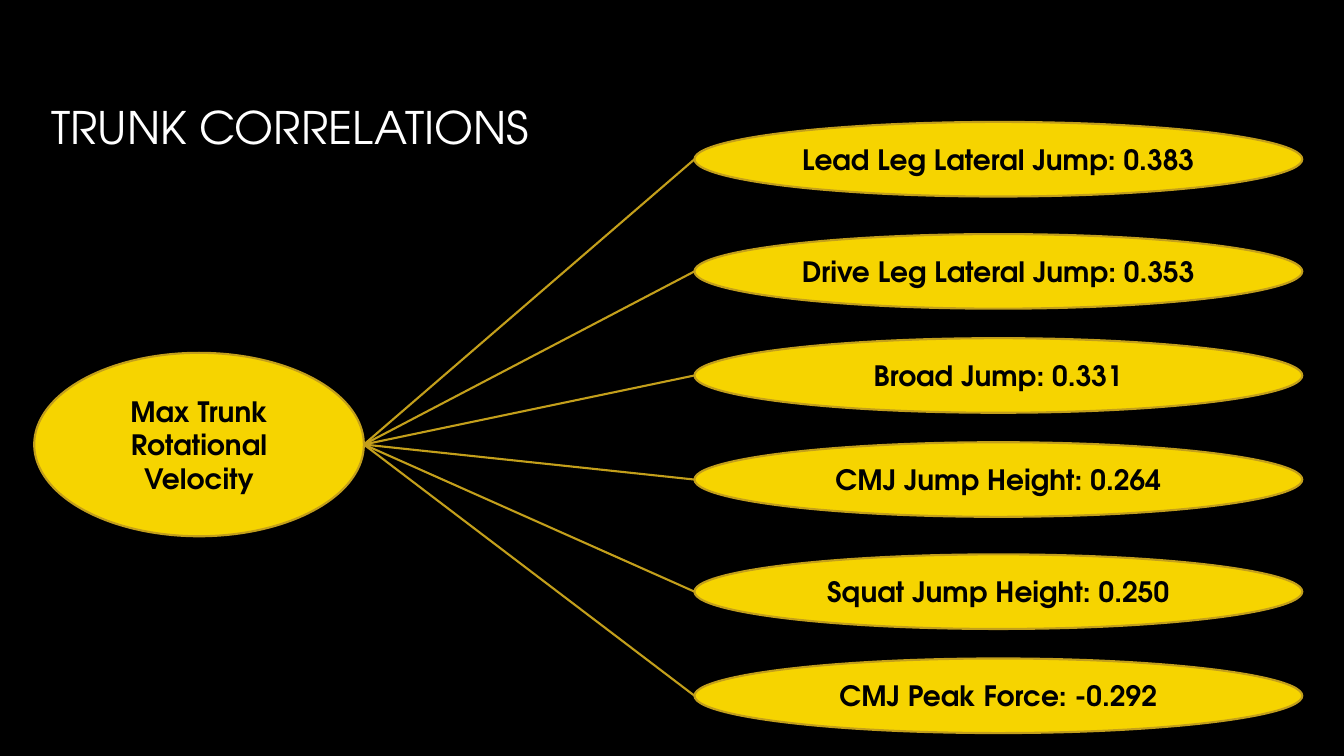
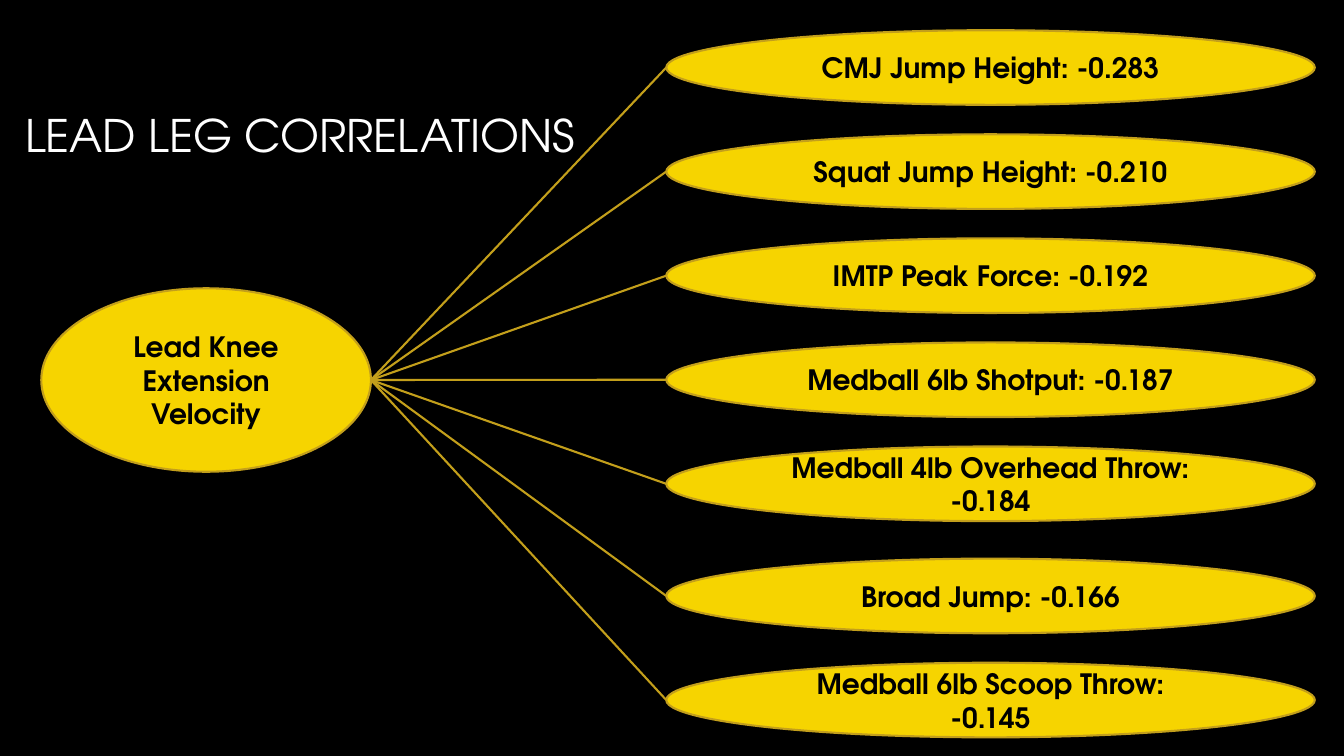
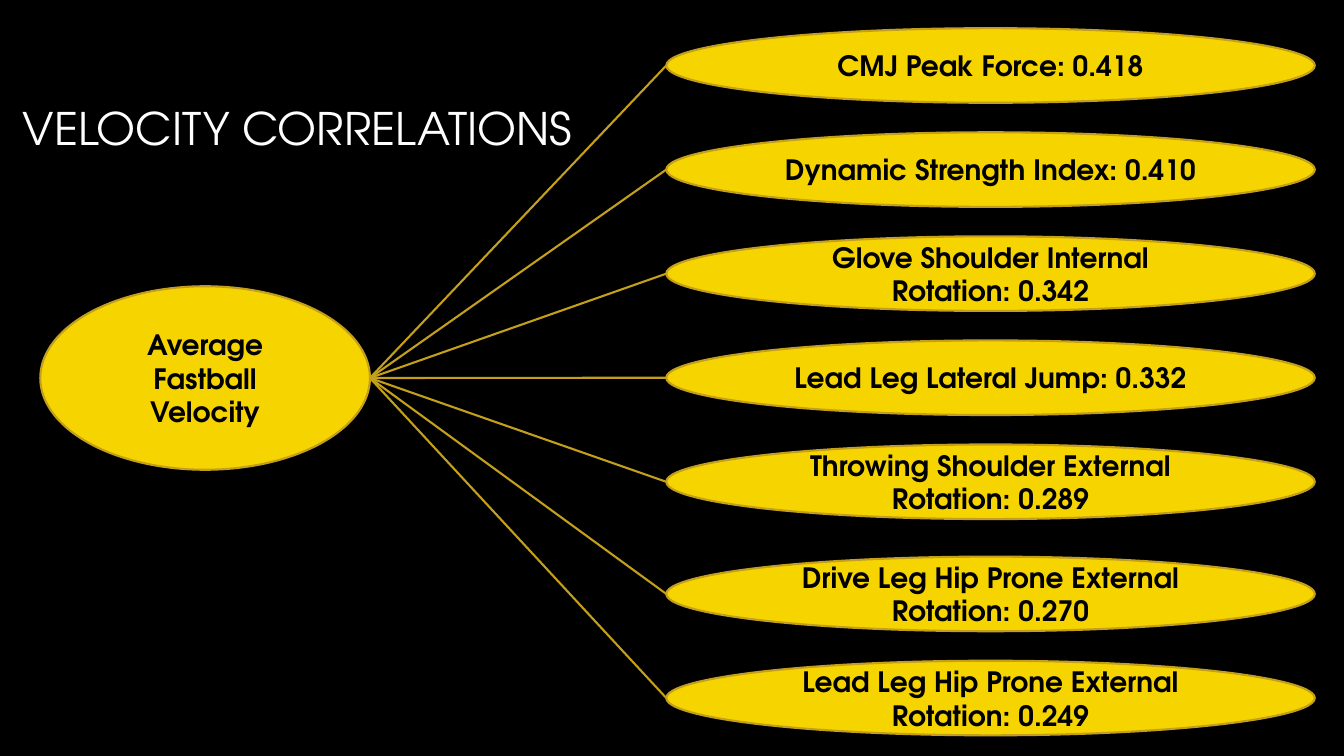
from lxml.etree import SubElement
from pptx import Presentation
from pptx.dml.color import RGBColor
from pptx.enum.shapes import MSO_CONNECTOR, MSO_SHAPE
from pptx.enum.text import MSO_ANCHOR, PP_ALIGN
from pptx.oxml.ns import qn
from pptx.util import Inches, Pt

THEME = {
    "back": RGBColor.from_string("000000"),
    "fill": RGBColor.from_string("F6D400"),
    "edge": RGBColor.from_string("C39F1B"),
    "rule": Pt(1.5),
    "title": {"name": "TeX Gyre Adventor", "size": Pt(32), "bold": False},
    "label": {"name": "TeX Gyre Adventor", "size": Pt(20), "bold": True},
    "light": RGBColor.from_string("FFFFFF"),
    "dark": RGBColor.from_string("000000"),
}

deck = Presentation()
deck.slide_width, deck.slide_height = Inches(13.33), Inches(7.5)
COL, ROW = deck.slide_width / 40, deck.slide_height / 30
NEAR, FAR = 4.13, 4.45  # rows from one oval's top to the next
TITLE, HUB = (32.5, 8.32), (9.81, 7.28)
TALL = 2.96

back = deck.slide_master.background.fill
back.solid()
back.fore_color.rgb = THEME["back"]


def grid(left, top, wide, tall):
    return [round(n) for n in (left * COL, top * ROW, wide * COL, tall * ROW)]


def write(shape, text, style, tint, align):
    """Fill the shape with text, one paragraph a line, centred on its height."""
    frame = shape.text_frame
    frame.word_wrap = True
    frame.vertical_anchor = MSO_ANCHOR.MIDDLE
    frame.text = text
    for para in frame.paragraphs:
        para.alignment = align
        for key, value in THEME[style].items():
            setattr(para.font, key, value)
        para.font.color.rgb = THEME[tint]


# Places are (column, row); "far" lists the ovals that follow a wide gap.
SLIDES = [
    {
        "title": "TRUNK CORRELATIONS", "head": (1.23, 0.88),
        "hub": "Max Trunk Rotational Velocity", "place": (1.02, 14),
        "start": (20.67, 4.84), "wide": 18.09, "far": (1, 4),
        "items": [
            "Lead Leg Lateral Jump: 0.383",
            "Drive Leg Lateral Jump: 0.353",
            "Broad Jump: 0.331",
            "CMJ Jump Height: 0.264",
            "Squat Jump Height: 0.250",
            "CMJ Peak Force: -0.292",
        ],
    },
    {
        "title": "LEAD LEG CORRELATIONS", "head": (0.45, 1.2),
        "hub": "Lead Knee Extension Velocity", "place": (1.23, 11.44),
        "start": (19.83, 1.2), "wide": 19.3, "far": (5,),
        "items": [
            "CMJ Jump Height: -0.283",
            "Squat Jump Height: -0.210",
            "IMTP Peak Force: -0.192",
            "Medball 6lb Shotput: -0.187",
            "Medball 4lb Overhead Throw:\n-0.184",
            "Broad Jump: -0.166",
            "Medball 6lb Scoop Throw:\n-0.145",
        ],
    },
    {
        "title": "VELOCITY CORRELATIONS", "head": (0.39, 0.92),
        "hub": "Average Fastball Velocity", "place": (1.2, 11.36),
        "start": (19.83, 1.12), "wide": 19.3, "far": (5,),
        "items": [
            "CMJ Peak Force: 0.418",
            "Dynamic Strength Index: 0.410",
            "Glove Shoulder Internal Rotation: 0.342",
            "Lead Leg Lateral Jump: 0.332",
            "Throwing Shoulder External Rotation: 0.289",
            "Drive Leg Hip Prone External Rotation: 0.270",
            "Lead Leg Hip Prone External Rotation: 0.249",
        ],
    },
]

for page in SLIDES:
    shapes = deck.slides.add_slide(deck.slide_layouts[6]).shapes
    head = shapes.add_textbox(*grid(*page["head"], *TITLE))
    write(head, page["title"], "title", "light", PP_ALIGN.LEFT)

    left, top = page["start"]
    ovals = [(page["hub"], (*page["place"], *HUB))]
    for spot, item in enumerate(page["items"]):
        if spot:
            top += FAR if spot in page["far"] else NEAR
        ovals.append((item, (left, top, page["wide"], TALL)))

    nodes = []
    for text, area in ovals:
        node = shapes.add_shape(MSO_SHAPE.FLOWCHART_CONNECTOR, *grid(*area))
        node.shadow.inherit = False
        node.fill.solid()
        node.fill.fore_color.rgb = THEME["fill"]
        node.line.color.rgb = THEME["edge"]
        node.line.width = THEME["rule"]
        write(node, text, "label", "dark", PP_ALIGN.CENTER)
        nodes.append(node)

    hub, *leaves = nodes
    for leaf in leaves:
        link = shapes.add_connector(MSO_CONNECTOR.STRAIGHT, 0, 0, 0, 0)
        link.begin_connect(hub, 3)
        link.end_connect(leaf, 1)
        # An oval has eight joints: 6 is its right side and 2 its left.
        for tag, joint in (("a:stCxn", "6"), ("a:endCxn", "2")):
            next(link.element.iter(qn(tag))).set("idx", joint)
        link.line.color.rgb = THEME["edge"]
        link.line.width = THEME["rule"]
        SubElement(link.element.spPr, qn("a:effectLst"))

deck.save("out.pptx")
